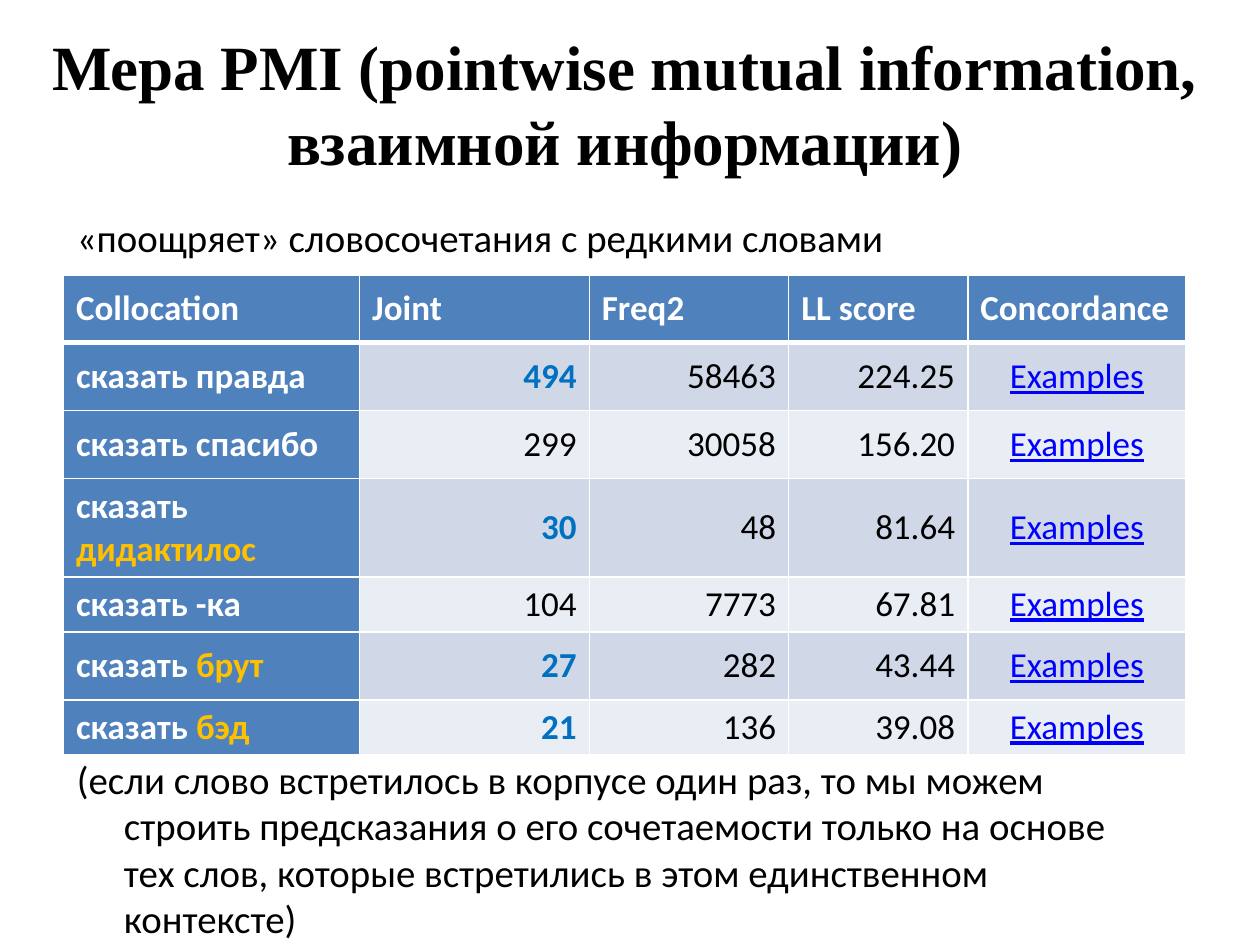
from lxml import etree
from pptx import Presentation
from pptx import util as u
from pptx.dml.color import RGBColor
from pptx.enum import text as t
from pptx.oxml import ns

BLACK = RGBColor(0x00, 0x00, 0x00)
WHITE = RGBColor(0xFF, 0xFF, 0xFF)
HEADER_BLUE = RGBColor(0x4F, 0x81, 0xBD)
BANDS = (RGBColor(0xD0, 0xD8, 0xE8), RGBColor(0xE9, 0xED, 0xF4))
COUNT_BLUE = RGBColor(0x00, 0x70, 0xC0)
RARE_GOLD = RGBColor(0xFF, 0xC0, 0x00)
LINK_BLUE = RGBColor(0x00, 0x00, 0xFF)

LEFT, CENTER, RIGHT = t.PP_ALIGN.LEFT, t.PP_ALIGN.CENTER, t.PP_ALIGN.RIGHT

HEADINGS = ("Collocation", "Joint", "Freq2", "LL score", "Concordance")
# second word, joint frequency, its own frequency, score, is it a rare word
COLLOCATIONS = (
    ("правда", "494", "58463", "224.25", False),
    ("спасибо", "299", "30058", "156.20", False),
    ("дидактилос", "30", "48", "81.64", True),
    ("-ка", "104", "7773", "67.81", False),
    ("брут", "27", "282", "43.44", True),
    ("бэд", "21", "136", "39.08", True),
)
BOLD_COUNTS = ("494", "30", "27", "21")
COLUMN_WIDTHS = (5.97, 4.63, 4.02, 3.61, 4.4)
ROW_HEIGHTS = (1.37, 1.37, 1.37, 1.98, 1.11, 1.37, 1.11)


def add_text(para, words, size=20, font="Calibri", color=BLACK, bold=False,
             underline=False, align=LEFT):
    """Append one formatted span to a paragraph."""
    para.alignment = align
    span = para.add_run()
    span.text = words
    span.font.size = u.Pt(size)
    span.font.name = font
    span.font.color.rgb = color
    span.font.bold = bold
    span.font.underline = underline


def set_title(page, words):
    title = page.shapes.title
    title.left, title.top = u.Cm(0.63), u.Cm(0.76)
    title.width, title.height = u.Cm(23.93), u.Cm(2.62)
    frame = title.text_frame
    frame.auto_size = t.MSO_AUTO_SIZE.NONE
    frame.vertical_anchor = t.MSO_ANCHOR.MIDDLE
    add_text(frame.paragraphs[0], words, size=36, font="Times New Roman",
             bold=True, align=CENTER)


def add_note(page, top, height, words):
    """Add body text with a hanging indent."""
    box = page.shapes.add_textbox(u.Cm(1.3), u.Cm(top), u.Cm(22.43), u.Cm(height))
    box.text_frame.word_wrap = True
    para = box.text_frame.paragraphs[0]
    indent = u.Cm(0.95)
    properties = para._p.get_or_add_pPr()
    properties.set("marL", str(indent))
    properties.set("indent", str(-indent))
    add_text(para, words, size=22.2)


def set_borders(cell, **widths):
    """Draw white cell borders; widths are points by side letter."""
    properties = cell._tc.get_or_add_tcPr()
    for place, side in enumerate("LRTB"):
        line = etree.Element(ns.qn("a:ln" + side), w=str(u.Pt(widths.get(side, 1))))
        fill = etree.SubElement(line, ns.qn("a:solidFill"))
        etree.SubElement(fill, ns.qn("a:srgbClr"), val=str(WHITE))
        properties.insert(place, line)


def format_cell(cell, fill, **borders):
    """Fill and outline a cell, and return its paragraph."""
    cell.fill.solid()
    cell.fill.fore_color.rgb = fill
    cell.vertical_anchor = t.MSO_ANCHOR.MIDDLE
    set_borders(cell, **borders)
    return cell.text_frame.paragraphs[0]


def add_collocation_table(page):
    frame = page.shapes.add_table(
        len(ROW_HEIGHTS), len(COLUMN_WIDTHS), u.Cm(1.28), u.Cm(5.54),
        u.Cm(sum(COLUMN_WIDTHS)), u.Cm(sum(ROW_HEIGHTS)))
    table = frame.table
    for column, width in zip(table.columns, COLUMN_WIDTHS):
        column.width = u.Cm(width)
    for row, height in zip(table.rows, ROW_HEIGHTS):
        row.height = u.Cm(height)

    # Header row with a thick line below
    for cell, heading in zip(table.rows[0].cells, HEADINGS):
        para = format_cell(cell, HEADER_BLUE, B=3)
        add_text(para, heading, color=WHITE, bold=True)

    # Banded collocation rows
    for number, (word, joint, frequency, score, rare) in enumerate(COLLOCATIONS):
        borders = {"T": 3} if number == 0 else {}
        name_cell, *value_cells = table.rows[number + 1].cells
        para = format_cell(name_cell, HEADER_BLUE, **borders)
        add_text(para, "сказать ", color=WHITE, bold=True)
        add_text(para, word, color=RARE_GOLD if rare else WHITE, bold=True)

        strong = joint in BOLD_COUNTS
        values = (
            (joint, dict(align=RIGHT, bold=strong,
                         color=COUNT_BLUE if strong else BLACK)),
            (frequency, dict(align=RIGHT)),
            (score, dict(align=RIGHT)),
            ("Examples", dict(align=CENTER, color=LINK_BLUE, underline=True)),
        )
        for cell, (words, style) in zip(value_cells, values):
            add_text(format_cell(cell, BANDS[number % 2], **borders), words, **style)


def main():
    deck = Presentation()
    deck.slide_width, deck.slide_height = u.Cm(25.4), u.Cm(19.05)
    page = deck.slides.add_slide(deck.slide_layouts[5])

    set_title(page, "Мера PMI (pointwise mutual information, взаимной информации)")
    add_note(page, 4.18, 1.2, "«поощряет» словосочетания с редкими словами")
    add_note(page, 15.1, 3.9,
             "(если слово встретилось в корпусе один раз, то мы можем строить "
             "предсказания о его сочетаемости только на основе тех слов, которые "
             "встретились в этом единственном контексте)")
    add_collocation_table(page)

    deck.save("out.pptx")


if __name__ == "__main__":
    main()
